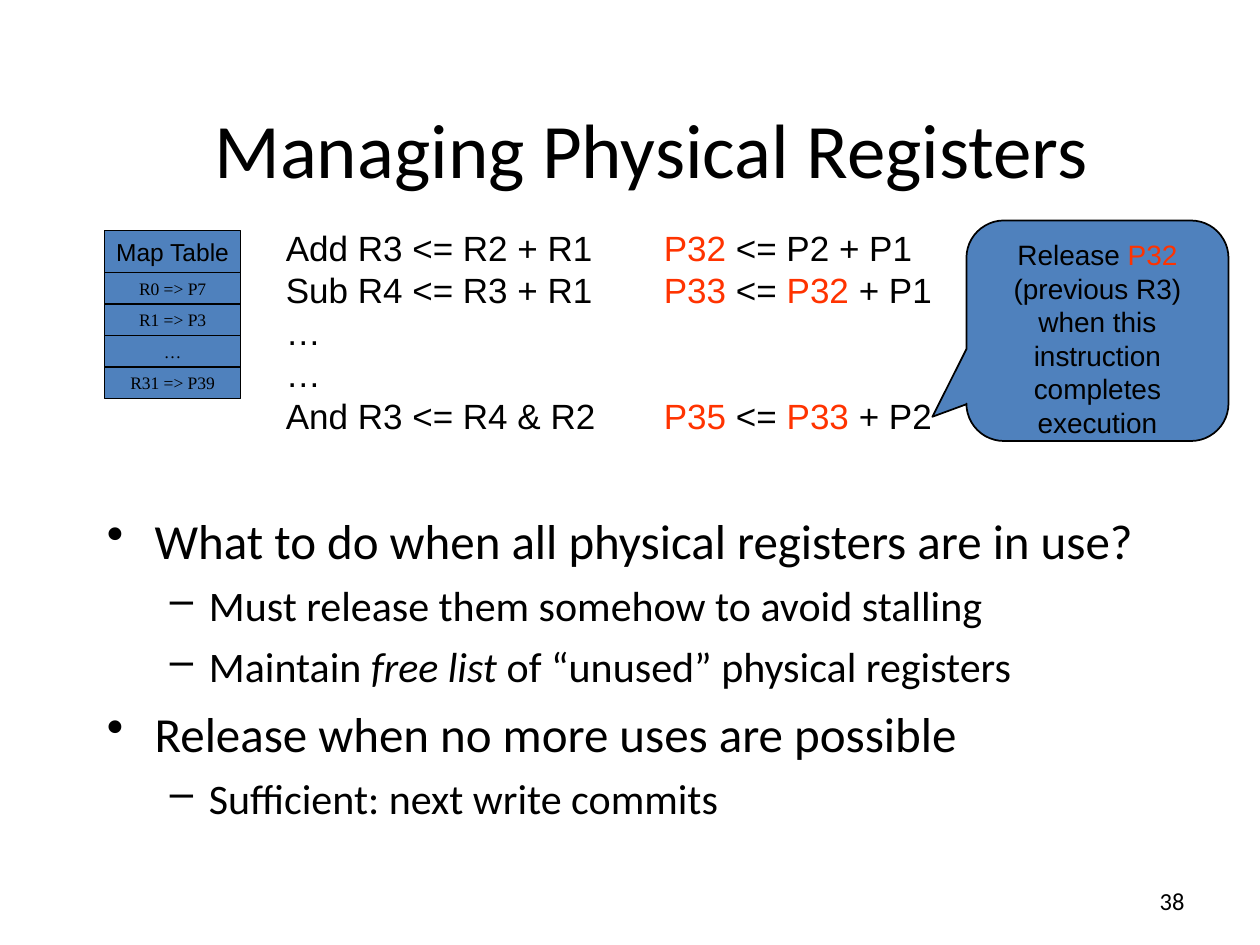
from lxml import etree
from pptx import Presentation
from pptx.dml.color import RGBColor
from pptx.enum.shapes import MSO_SHAPE
from pptx.enum.text import MSO_ANCHOR, PP_ALIGN
from pptx.oxml.ns import qn
from pptx.util import Inches, Pt

RECT = MSO_SHAPE.RECTANGLE
CALLOUT = MSO_SHAPE.ROUNDED_RECTANGULAR_CALLOUT
TOP, MIDDLE = MSO_ANCHOR.TOP, MSO_ANCHOR.MIDDLE
LEFT, CENTER, RIGHT = PP_ALIGN.LEFT, PP_ALIGN.CENTER, PP_ALIGN.RIGHT
BLACK, BLUE, RED = "000000", "4F81BD", "FF3300"
HEAD, SANS, SERIF = "Calibri", "Arial", "Times New Roman"


def color(text):
    return RGBColor.from_string(text)


class Deck:
    def __init__(self):
        self.prs = Presentation()
        self.prs.slide_width = Inches(10)
        self.prs.slide_height = Inches(7.5)
        self.slide = self.prs.slides.add_slide(self.prs.slide_layouts[5])

    def place(self, box):
        return [Inches(n) for n in box]

    def fill_text(self, para, text, size, font, align=LEFT, italic=False):
        """Parts between asterisks are italic or red."""
        para.alignment = align
        para.font.size = Pt(size)
        para.font.name = font
        para.font.color.rgb = color(BLACK)
        for i, part in enumerate(text.split("*")):
            if not part:
                continue
            run = para.add_run()
            run.text = part
            if i % 2 and italic:
                run.font.italic = True
            elif i % 2:
                run.font.color.rgb = color(RED)

    def title(self, text, box):
        shape = self.slide.shapes.title
        shape.left, shape.top, shape.width, shape.height = self.place(box)
        shape.text_frame.vertical_anchor = MIDDLE
        self.fill_text(shape.text_frame.paragraphs[0], text, 44, HEAD, CENTER)

    def frame(self, box, anchor=TOP):
        frame = self.slide.shapes.add_textbox(*self.place(box)).text_frame
        frame.word_wrap = True
        frame.vertical_anchor = anchor
        return frame

    def label(self, text, box, size, font, align):
        para = self.frame(box, MIDDLE).paragraphs[0]
        self.fill_text(para, text, size, font, align)

    def code(self, lines, box, tab):
        frame = self.frame(box)
        for i, line in enumerate(lines):
            para = frame.add_paragraph() if i else frame.paragraphs[0]
            tabs = etree.SubElement(para._p.get_or_add_pPr(), qn("a:tabLst"))
            etree.SubElement(tabs, qn("a:tab"), pos=str(Inches(tab)), algn="l")
            self.fill_text(para, line, 20, SANS)

    def bullets(self, items, box):
        styles = [("•", 28, 7, 0.38, 0.38), ("–", 24, 6, 0.81, 0.31)]
        frame = self.frame(box)
        for i, (level, text) in enumerate(items):
            mark, size, gap, indent, hang = styles[level]
            para = frame.add_paragraph() if i else frame.paragraphs[0]
            para.level = level
            props = para._p.get_or_add_pPr()
            props.set("marL", str(Inches(indent)))
            props.set("indent", str(-Inches(hang)))
            etree.SubElement(props, qn("a:buChar"), char=mark)
            if i:
                para.space_before = Pt(gap)
            self.fill_text(para, text, size, HEAD, italic=True)

    def shape(self, kind, text, box, size, font, anchor=MIDDLE, wrap=False,
              home=None):
        shapes = (home or self.slide).shapes
        shape = shapes.add_shape(kind, *self.place(box))
        shape.shadow.inherit = False
        shape.fill.solid()
        shape.fill.fore_color.rgb = color(BLUE)
        shape.line.color.rgb = color(BLACK)
        shape.line.width = Pt(1)
        frame = shape.text_frame
        frame.word_wrap = wrap
        frame.vertical_anchor = anchor
        self.fill_text(frame.paragraphs[0], text, size, font, CENTER)
        return shape

    def stack(self, head, rows, left, top, width):
        group = self.slide.shapes.add_group_shape()
        high, step = 1 / 3, 0.25
        self.shape(RECT, head, (left, top, width, high), 14, SANS, home=group)
        for i, row in enumerate(rows):
            box = (left, top + high + i * step, width, step)
            self.shape(RECT, row, box, 10, SERIF, home=group)


def main():
    deck = Deck()
    deck.title("Managing Physical Registers", (0.75, 0.67, 8.84, 1))

    # Questions and answers
    deck.bullets([
        (0, "What to do when all physical registers are in use?"),
        (1, "Must release them somehow to avoid stalling"),
        (1, "Maintain *free list* of “unused” physical registers"),
        (0, "Release when no more uses are possible"),
        (1, "Sufficient: next write commits"),
    ], (0.75, 4, 8.5, 2.67))

    # Page number
    deck.label("38", (8.33, 6.95, 1.17, 0.4), 14, HEAD, RIGHT)

    # Map table
    rows = ["R0 => P7", "R1 => P3", "…", "R31 => P39"]
    deck.stack("Map Table", rows, 0.83, 1.83, 1.08)

    # Instructions before and after renaming
    deck.code([
        "Add R3 <= R2 + R1\t*P32* <= P2 + P1",
        "Sub R4 <= R3 + R1\t*P33* <= *P32* + P1",
        "…",
        "…",
        "And R3 <= R4 & R2\t*P35* <= *P33* + P2",
    ], (2.17, 1.75, 5.33, 1.77), 3)

    # Callout on the last instruction
    note = deck.shape(
        CALLOUT,
        "Release *P32* (previous R3) when this instruction completes execution",
        (7.67, 1.75, 2.08, 1.75), 16, SANS, TOP, True)
    for i, value in enumerate([-0.63, 0.39, 0.17]):
        note.adjustments[i] = value

    deck.prs.save("out.pptx")


if __name__ == "__main__":
    main()
